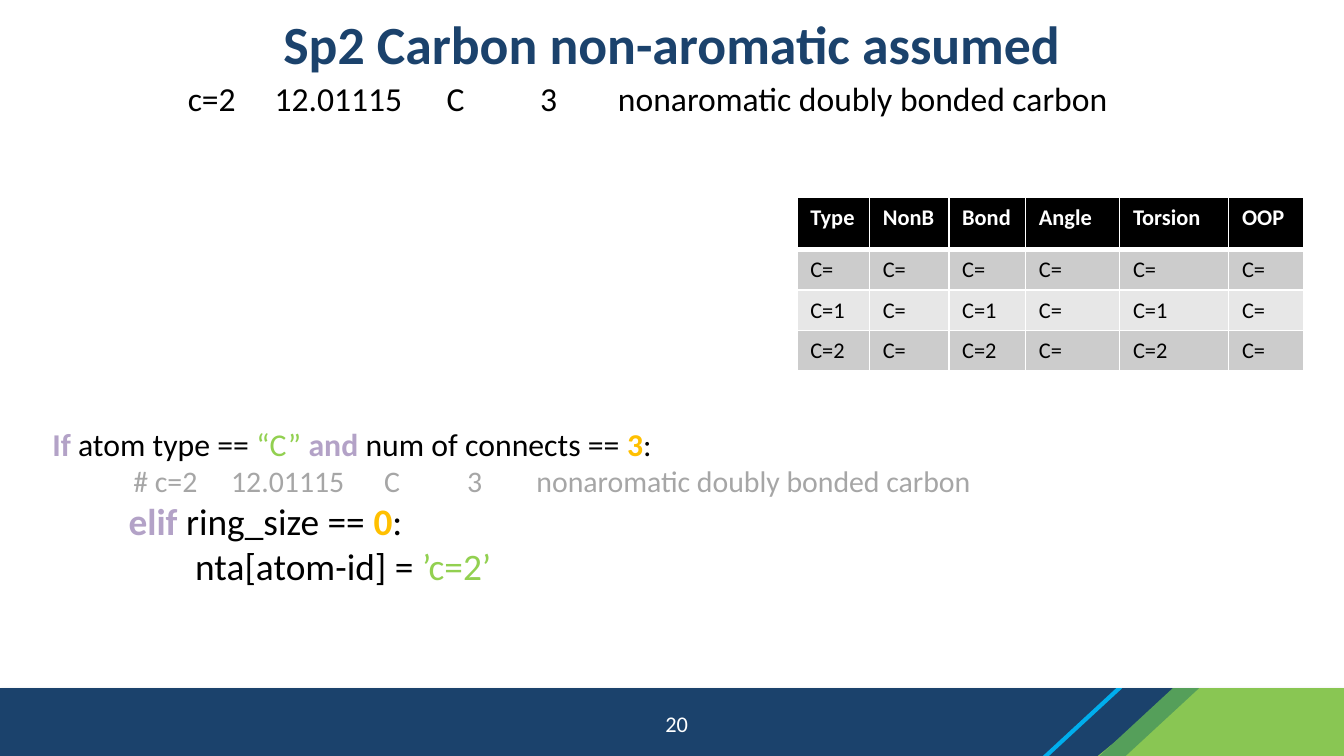
from lxml import etree
from pptx import Presentation
from pptx.dml.color import RGBColor
from pptx.enum.shapes import MSO_SHAPE
from pptx.enum.text import MSO_ANCHOR, PP_ALIGN
from pptx.oxml.ns import qn
from pptx.util import Cm, Pt

RECTANGLE = MSO_SHAPE.RECTANGLE
TRIANGLE = MSO_SHAPE.RIGHT_TRIANGLE
PARALLELOGRAM = MSO_SHAPE.PARALLELOGRAM
MIDDLE, TOP = MSO_ANCHOR.MIDDLE, MSO_ANCHOR.TOP
CENTER, LEFT = PP_ALIGN.CENTER, PP_ALIGN.LEFT

FONT = "Calibri"
COLORS = {
    "navy": "1B426C", "green": "89C653", "dark_green": "559F5A", "cyan": "00AEED",
    "black": "000000", "white": "FFFFFF", "keyword": "B3A2C7", "string": "92D050",
    "number": "FFC000", "comment": "A6A6A6", "band_dark": "CCCCCC", "band_light": "E7E7E7",
}
TITLE = "Sp2 Carbon non-aromatic assumed"
ATOM_FIELDS = "c=2\t12.01115\tC\t3\tnonaromatic doubly bonded carbon"
CODE_LINES = [
    (17, [], [("If ", "keyword", True), ("atom type == ", "black", False),
              ("“C” ", "string", False), ("and", "keyword", True),
              (" num of connects == ", "black", False), ("3", "number", True),
              (":", "black", False)]),
    (16, [1.53, 3.38, 6.27, 7.84, 9.15], [("\t# " + ATOM_FIELDS, "comment", False)]),
    (20, [1.44], [("\telif ", "keyword", True), ("ring_size == ", "black", False),
                  ("0", "number", True), (":", "black", False)]),
    (20, [2.7], [("\tnta[atom-id] = ", "black", False), ("’c=2’", "string", False)]),
]
TYPE_ROWS = [
    ["Type", "NonB", "Bond", "Angle", "Torsion", "OOP"],
    ["C="] * 6,
    ["C=1", "C="] * 3,
    ["C=2", "C="] * 3,
]
COLUMN_WIDTHS = [1.37, 1.5, 1.45, 1.78, 2.06, 1.42]
ROW_HEIGHTS = [0.99, 0.76, 0.76, 0.76]


def rgb(name):
    return RGBColor.from_string(COLORS[name])


def lengths(box):
    return [Cm(value) for value in box]


def add_color(parent, name):
    solid = etree.SubElement(parent, qn("a:solidFill"))
    etree.SubElement(solid, qn("a:srgbClr"), val=COLORS[name])


def write_run(paragraph, text, size, color, bold=False):
    run = paragraph.add_run()
    run.text = text
    for attribute, value in {"name": FONT, "size": Pt(size), "bold": bold}.items():
        setattr(run.font, attribute, value)
    run.font.color.rgb = rgb(color)


def set_tabs(paragraph, stops):
    tabs = etree.SubElement(paragraph._p.get_or_add_pPr(), qn("a:tabLst"))
    for stop in stops:
        etree.SubElement(tabs, qn("a:tab"), pos=str(Cm(stop)), algn="l")


def fill_text(holder, lines, anchor=TOP, align=LEFT):
    frame = holder.text_frame
    for attribute, value in {"word_wrap": True, "vertical_anchor": anchor}.items():
        setattr(frame, attribute, value)
    for index, (size, stops, runs) in enumerate(lines):
        paragraph = frame.add_paragraph() if index else frame.paragraphs[0]
        paragraph.alignment = align
        if stops:
            set_tabs(paragraph, stops)
        for text, color, bold in runs:
            write_run(paragraph, text, size, color, bold)


def place_title(slide, box):
    title = slide.shapes.title
    for attribute, value in zip(("left", "top", "width", "height"), lengths(box)):
        setattr(title, attribute, value)
    fill_text(title, [(28.8, [], [(TITLE, "navy", True)])], MIDDLE, CENTER)


def add_text(slide, box, lines, anchor=TOP, align=LEFT):
    fill_text(slide.shapes.add_textbox(*lengths(box)), lines, anchor, align)


def add_bar_shadow(bar):
    effects = bar._element.spPr.find(qn("a:effectLst"))
    shadow = etree.SubElement(effects, qn("a:outerShdw"), blurRad=str(Pt(3.1)),
                              dist=str(Pt(1.8)), dir="5400000", rotWithShape="0")
    color = etree.SubElement(shadow, qn("a:srgbClr"), val=COLORS["black"])
    etree.SubElement(color, qn("a:alpha"), val="35000")


def add_footer(slide, box):
    left, top, width, height = box
    right = left + width

    def add_part(kind, color, offset, part_width):
        part = slide.shapes.add_shape(
            kind, *lengths((right - offset, top, part_width, height)))
        part.shadow.inherit = False
        part.fill.solid()
        part.fill.fore_color.rgb = rgb(color)
        part.line.fill.background()
        if kind == PARALLELOGRAM:
            part.adjustments[0] = 1.082
        return part

    add_bar_shadow(add_part(RECTANGLE, "navy", width, width))
    slope = add_part(TRIANGLE, "green", 4.65, 1.57)
    slope._element.spPr.xfrm.set("flipH", "1")
    add_part(RECTANGLE, "green", 3.12, 3.12)
    add_part(PARALLELOGRAM, "dark_green", 4.62, 1.88)
    add_part(PARALLELOGRAM, "cyan", 5.69, 1.5)
    add_text(slide, (left + 9.83, top + 0.28, 5.92, 0.76),
             [(12, [], [("20", "white", False)])], MIDDLE, CENTER)


def set_borders(cell, row):
    widths = {"lnL": 1, "lnR": 1, "lnT": 3 if row == 1 else 1, "lnB": 3 if row == 0 else 1}
    properties = cell._tc.get_or_add_tcPr()
    for index, (side, width) in enumerate(widths.items()):
        border = etree.Element(qn("a:" + side), w=str(Pt(width)))
        add_color(border, "white")
        properties.insert(index, border)


def add_type_table(slide, box):
    table = slide.shapes.add_table(
        len(TYPE_ROWS), len(COLUMN_WIDTHS), *lengths(box)).table
    for column, width in zip(table.columns, COLUMN_WIDTHS):
        column.width = Cm(width)
    for row, height in zip(table.rows, ROW_HEIGHTS):
        row.height = Cm(height)
    for row, values in enumerate(TYPE_ROWS):
        header = row == 0
        band = "black" if header else "band_dark" if row % 2 else "band_light"
        for column, value in enumerate(values):
            cell = table.cell(row, column)
            cell.fill.solid()
            cell.fill.fore_color.rgb = rgb(band)
            set_borders(cell, row)
            write_run(cell.text_frame.paragraphs[0], value, 12,
                      "white" if header else "black", header)


def main():
    deck = Presentation()
    deck.slide_width, deck.slide_height = Cm(25.4), Cm(14.29)
    slide = deck.slides.add_slide(deck.slide_layouts[5])
    add_footer(slide, (0, 13.01, 25.4, 1.28))
    place_title(slide, (0, 0.03, 25.4, 1.57))
    add_text(slide, (3.3, 1.35, 22.1, 1.02),
             [(18, [1.64, 4.89, 6.66, 8.13], [(ATOM_FIELDS, "black", False)])])
    add_text(slide, (0.74, 7.9, 23.72, 3.38), CODE_LINES)
    add_type_table(slide, (15.06, 3.73, sum(COLUMN_WIDTHS), sum(ROW_HEIGHTS)))
    deck.save("out.pptx")


if __name__ == "__main__":
    main()
